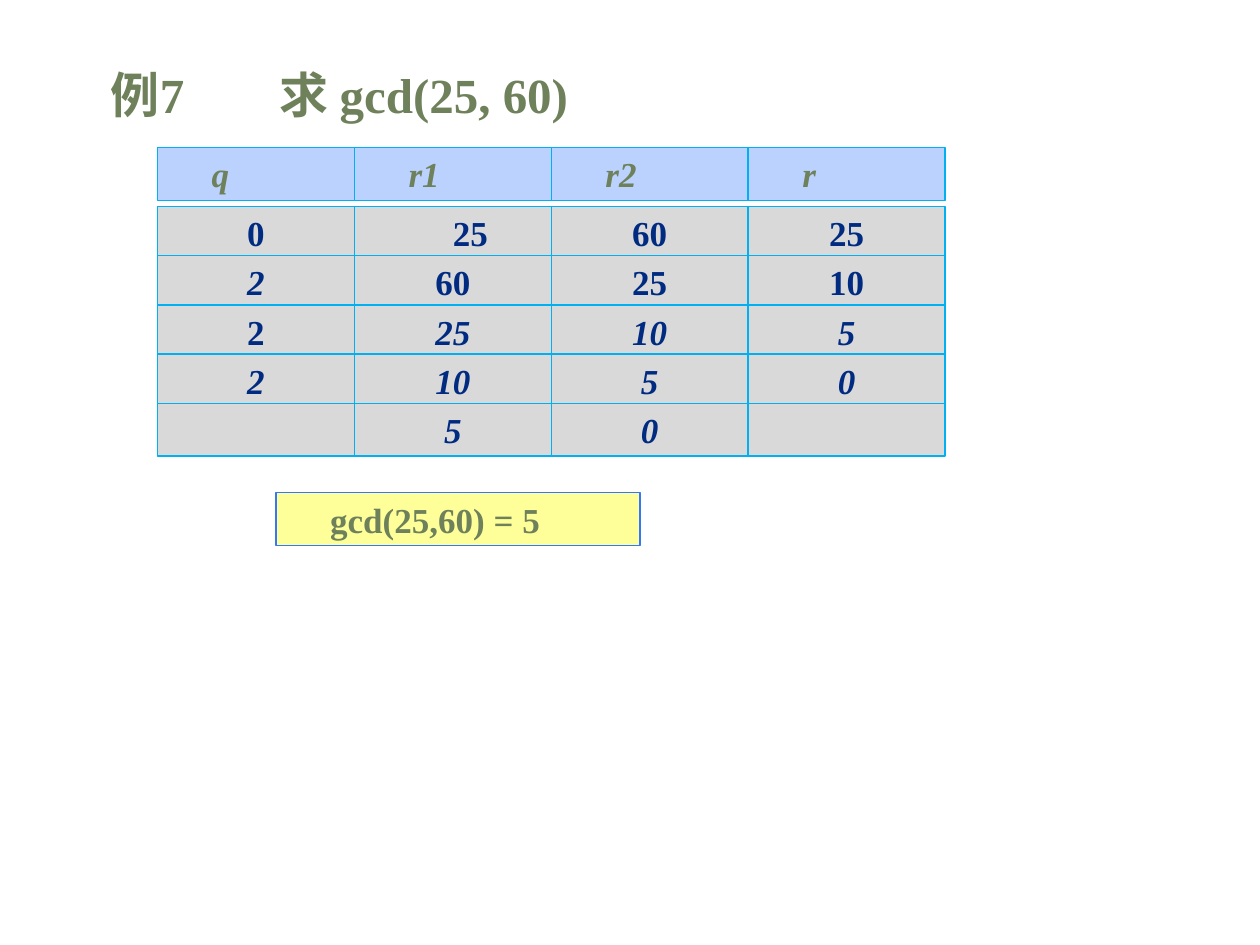
import pptx
import pptx.util
import pptx.dml.color
import pptx.enum.shapes
import pptx.enum.text

COLORS = {"sage": "6E815B", "navy": "002B81", "header": "BBD2FF", "body": "D9D9D9",
          "grid": "00B0F0", "answer": "FFFF99", "answer_line": "3477FF"}
TITLES = [("例7", 0.7, 1.09, 0.1), ("求 gcd(25, 60)", 1.95, 6.56, 0.19)]
HEADERS = ["q", "r1", "r2", "r"]
STEPS = [["0", "25", "60", "25"],
         ["2", "60", "25", "10"],
         ["2", "25", "10", "5"],
         ["2", "10", "5", "0"],
         ["", "5", "0", ""]]
UPRIGHT = {(0, 0), (0, 1), (0, 2), (0, 3), (1, 1), (1, 2), (1, 3), (2, 0)}
INDENTED = {(0, 1): 0.28}
ANSWER = "gcd(25,60) = 5"

GRID_LEFT, COLUMN = 1.25, 1.5625
HEADER_TOP, BODY_TOP, ROW_STEP = 1.17, 1.64, 0.39
CELL_HEIGHT, TITLE_TOP, TITLE_HEIGHT = 0.42, 0.47, 0.55
HEADER_INDENT = 0.35
ALIGN = pptx.enum.text.PP_ALIGN
ANCHOR = pptx.enum.text.MSO_ANCHOR
FRAME = {"word_wrap": True,
         "auto_size": pptx.enum.text.MSO_AUTO_SIZE.SHAPE_TO_FIT_TEXT,
         "margin_right": pptx.util.Inches(0.08),
         "margin_top": pptx.util.Inches(0.04),
         "margin_bottom": pptx.util.Inches(0.04)}


def rgb(name):
    return pptx.dml.color.RGBColor.from_string(COLORS[name])


def write(box, text, color, size=20, italic=False, indent=0, align=ALIGN.LEFT, anchor=ANCHOR.TOP):
    frame = box.text_frame
    layout = FRAME | {"margin_left": pptx.util.Inches(0.08 + indent), "vertical_anchor": anchor}
    for attribute, value in layout.items():
        setattr(frame, attribute, value)
    if not text:
        return
    paragraph = frame.paragraphs[0]
    paragraph.alignment = align
    run = paragraph.add_run()
    run.text = text
    style = {"name": "Times New Roman", "size": pptx.util.Pt(size), "bold": True, "italic": italic}
    for attribute, value in style.items():
        setattr(run.font, attribute, value)
    run.font.color.rgb = rgb(color)


def panel(slide, left, top, width, fill, line):
    box = slide.shapes.add_shape(
        pptx.enum.shapes.MSO_SHAPE.RECTANGLE,
        *map(pptx.util.Inches, (left, top, width, CELL_HEIGHT)))
    box.shadow.inherit = False
    box.fill.solid()
    box.fill.fore_color.rgb = rgb(fill)
    box.line.color.rgb = rgb(line)
    box.line.width = pptx.util.Pt(0.75)
    return box


def main():
    deck = pptx.Presentation()
    deck.slide_width, deck.slide_height = pptx.util.Inches(10), pptx.util.Inches(7.5)
    slide = deck.slides.add_slide(deck.slide_layouts[6])

    for text, left, width, indent in TITLES:
        title = slide.shapes.add_textbox(*map(pptx.util.Inches, (left, TITLE_TOP, width, TITLE_HEIGHT)))
        write(title, text, "sage", size=28, indent=indent)

    for column, heading in enumerate(HEADERS):
        cell = panel(slide, GRID_LEFT + column * COLUMN, HEADER_TOP, COLUMN, "header", "grid")
        write(cell, heading, "sage", italic=True, indent=HEADER_INDENT)

    for row, values in enumerate(STEPS):
        for column, value in enumerate(values):
            cell = panel(slide, GRID_LEFT + column * COLUMN, BODY_TOP + row * ROW_STEP,
                         COLUMN, "body", "grid")
            write(cell, value, "navy", italic=(row, column) not in UPRIGHT,
                  indent=INDENTED.get((row, column), 0), align=ALIGN.CENTER)

    answer = panel(slide, 2.19, 3.91, 2.89, "answer", "answer_line")
    write(answer, ANSWER, "sage", indent=HEADER_INDENT, anchor=ANCHOR.MIDDLE)
    deck.save("out.pptx")


if __name__ == "__main__":
    main()
